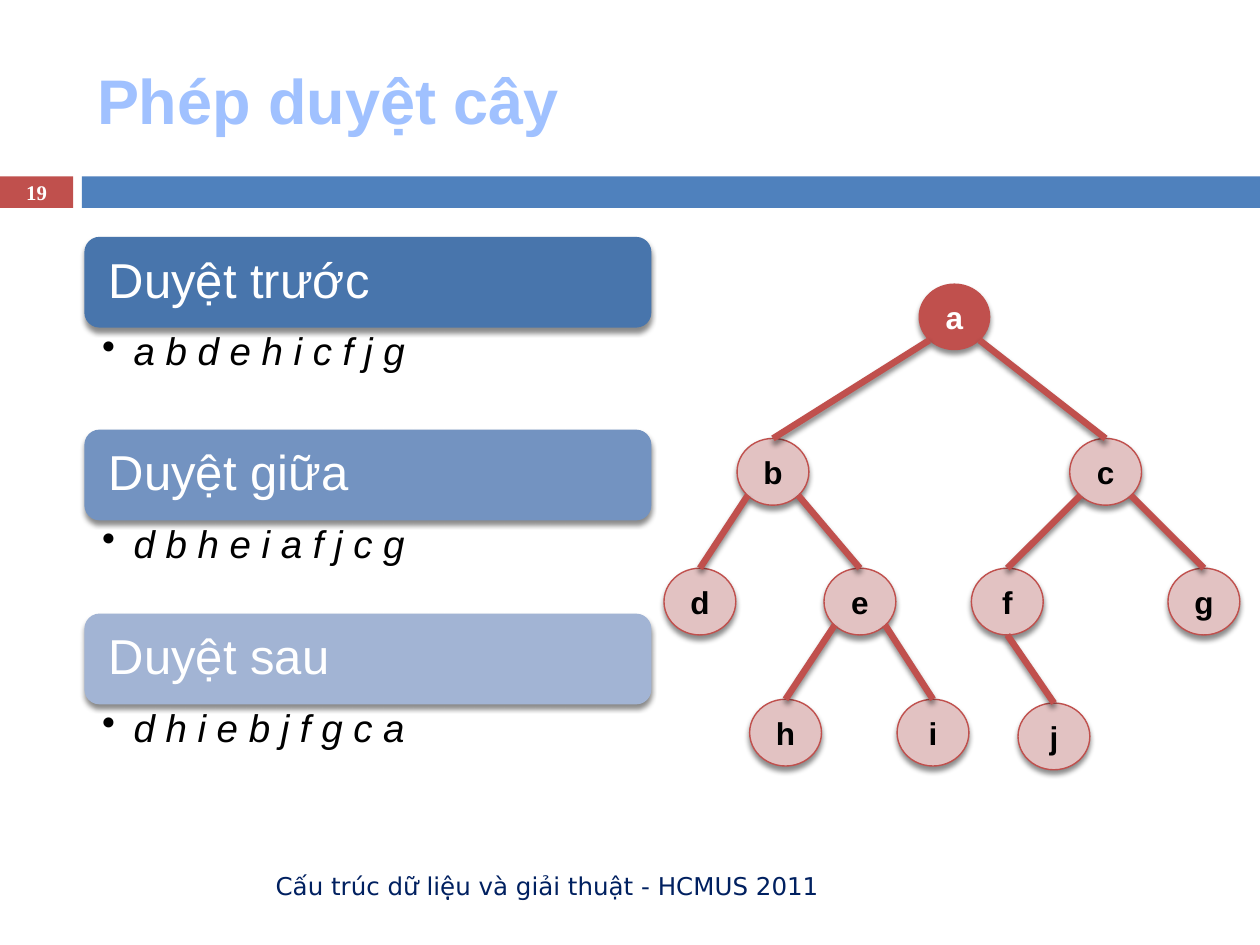
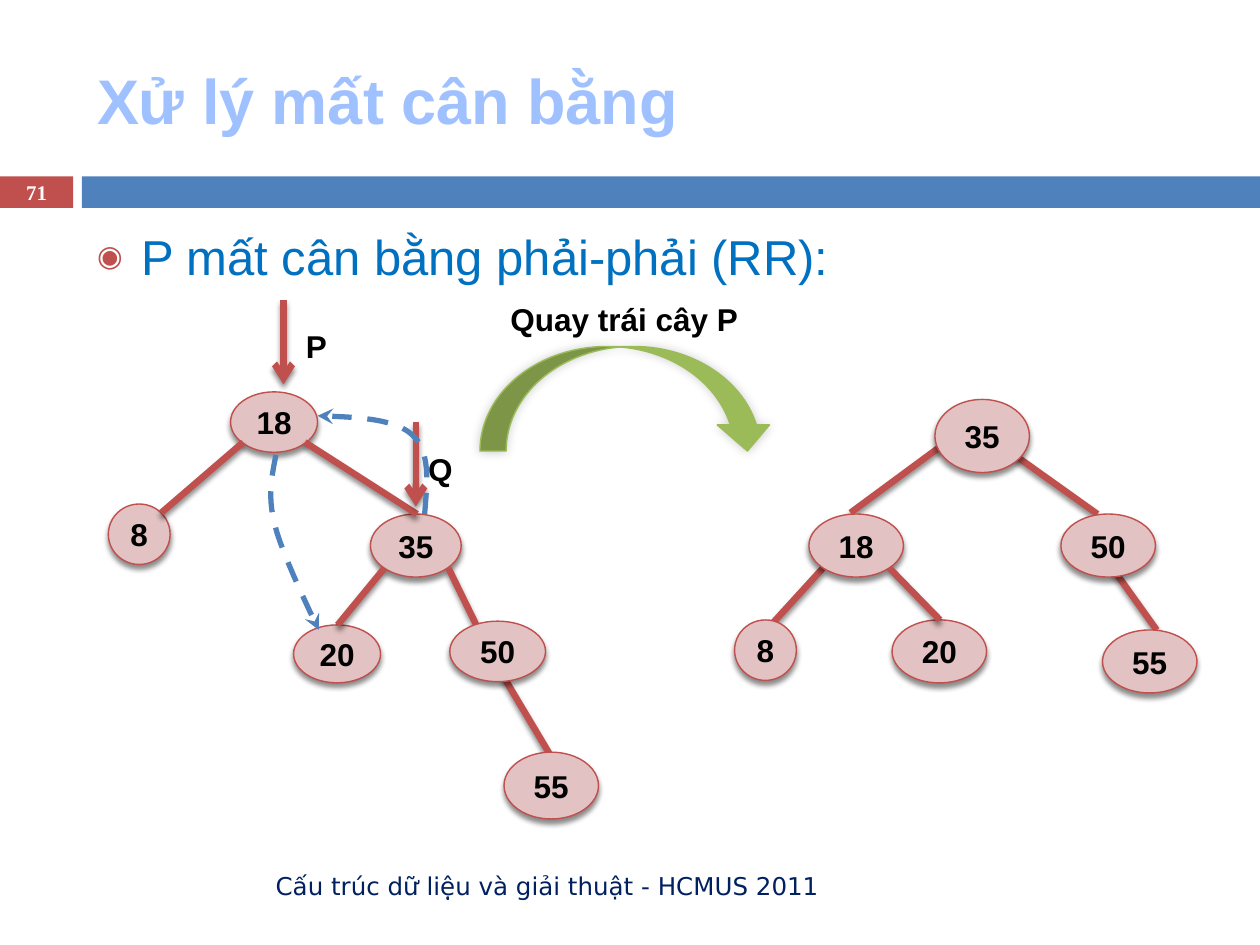
"""Build two slides on tree traversal and AVL rebalancing."""
import pptx
import pptx.dml.color
import pptx.enum.dml
import pptx.enum.shapes
import pptx.enum.text
import pptx.oxml
import pptx.util

Inches, Pt = pptx.util.Inches, pptx.util.Pt
SHAPE = pptx.enum.shapes.MSO_SHAPE
STRAIGHT = pptx.enum.shapes.MSO_CONNECTOR.STRAIGHT
MIDDLE = pptx.enum.text.MSO_ANCHOR.MIDDLE
LEFT, CENTER, RIGHT = (getattr(pptx.enum.text.PP_ALIGN, n) for n in ("LEFT", "CENTER", "RIGHT"))
rgb = pptx.dml.color.RGBColor.from_string

NS = 'xmlns:a="http://schemas.openxmlformats.org/drawingml/2006/main"'
RED, BLUE, PINK, GREEN = "C0504D", "4F81BD", "E2C2C2", "9BBB59"
SHADOW = (f'<a:effectLst {NS}><a:outerShdw blurRad="38100" dist="30480" dir="5400000" rotWithShape="0">'
          '<a:srgbClr val="000000"><a:alpha val="45000"/></a:srgbClr></a:outerShdw></a:effectLst>')
GLOW = (SHADOW.replace("38100", "76200").replace("30480", "0")
        .replace("5400000", "18900000").replace("45000", "20000"))


def add_xml(parent, *fragments):
    """Append drawing elements to a parent element."""
    for fragment in fragments:
        parent.append(pptx.oxml.parse_xml(fragment))


def write(tf, text, size, colour, font="Arial", bold=False, italic=False, align=LEFT):
    """Fill the first paragraph of a text frame and style it."""
    p = tf.paragraphs[0]
    p.text, p.alignment = text, align
    p.font.size, p.font.name = Pt(size), font
    p.font.bold, p.font.italic = bold, italic
    p.font.color.rgb = rgb(colour)


prs = pptx.Presentation()
prs.slide_width, prs.slide_height = Inches(10), Inches(7.5)
traversal = prs.slides.add_slide(prs.slide_layouts[5])
rotation = prs.slides.add_slide(prs.slide_layouts[1])

for x, w, colour in ((0, 0.58, RED), (0.65, 9.35, BLUE)):
    band = traversal.shapes.add_shape(SHAPE.RECTANGLE, Inches(x), Inches(1.4), Inches(w), Inches(0.25))
    band.shadow.inherit = False
    band.fill.solid()
    band.fill.fore_color.rgb = rgb(colour)
    band.line.fill.background()
    prs.slide_master.shapes._spTree.insert(2, band._element)

for s, title, number in ((traversal, "Phép duyệt cây", "19"), (rotation, "Xử lý mất cân bằng", "71")):
    sp = s.shapes.title
    sp.left, sp.top, sp.width, sp.height = Inches(0.67), Inches(0.25), Inches(8.92), Inches(1.08)
    sp.text_frame.vertical_anchor = MIDDLE
    sp.text_frame.auto_size = pptx.enum.text.MSO_AUTO_SIZE.NONE
    write(sp.text_frame, title, 36, "A0C1FF", bold=True)

    tf = s.shapes.add_textbox(Inches(0.67), Inches(6.83), Inches(5.93), Inches(0.4)).text_frame
    tf.word_wrap, tf.vertical_anchor = True, MIDDLE
    write(tf, "Cấu trúc dữ liệu và giải thuật - HCMUS 2011", 14, "002060", "DejaVu Sans", align=RIGHT)

    tf = s.shapes.add_textbox(0, Inches(1.39), Inches(0.58), Inches(0.27)).text_frame
    tf.word_wrap, tf.vertical_anchor = True, MIDDLE
    tf.margin_left = tf.margin_right = tf.margin_top = tf.margin_bottom = 0
    write(tf, number, 11.9, "FFFFFF", "Times New Roman", bold=True, align=CENTER)

orders = (
    ("Duyệt trước", "a b d e h i c f j g", 1.88, "4875AC"),
    ("Duyệt giữa", "d b h e i a f j c g", 3.41, "7393C1"),
    ("Duyệt sau", "d h i e b j f g c a", 4.87, "A2B4D4"),
)
for name, visit, y, colour in orders:
    sp = traversal.shapes.add_shape(SHAPE.ROUNDED_RECTANGLE, Inches(0.67), Inches(y), Inches(4.5), Inches(0.72))
    sp.fill.solid()
    sp.fill.fore_color.rgb = rgb(colour)
    sp.line.fill.background()
    add_xml(sp._element.spPr, SHADOW)
    tf = sp.text_frame
    tf.margin_left, tf.vertical_anchor = Inches(0.16), MIDDLE
    tf.paragraphs[0].line_spacing = 0.9
    write(tf, name, 28, "FFFFFF")

    tf = traversal.shapes.add_textbox(Inches(0.67), Inches(y + 0.72), Inches(4.5), Inches(0.8)).text_frame
    tf.word_wrap = True
    tf.margin_left, tf.margin_right = Inches(0.14), Inches(0.22)
    tf.margin_top = tf.margin_bottom = Inches(0.04)
    pPr = tf.paragraphs[0]._p.get_or_add_pPr()
    pPr.set("marL", str(Inches(0.25)))
    pPr.set("indent", str(-Inches(0.25)))
    add_xml(pPr, f'<a:buChar {NS} char="•"/>')
    tf.paragraphs[0].line_spacing = 0.9
    write(tf, visit, 22, "000000", italic=True)

sp = rotation.placeholders[1]
sp.left, sp.top, sp.width, sp.height = Inches(0.67), Inches(1.75), Inches(8.92), Inches(4.92)
tf = sp.text_frame
tf.auto_size = pptx.enum.text.MSO_AUTO_SIZE.NONE
pPr = tf.paragraphs[0]._p.get_or_add_pPr()
pPr.set("marL", str(Inches(0.35)))
pPr.set("indent", str(-Inches(0.35)))
add_xml(pPr, f'<a:buClr {NS}><a:srgbClr val="{RED}"/></a:buClr>',
        f'<a:buSzPct {NS} val="60000"/>', f'<a:buChar {NS} char="◉"/>')
tf.paragraphs[0].space_before = Pt(0)
write(tf, "P mất cân bằng phải-phải (RR):", 28, "0070C0")

NODE_W, NODE_H = 0.57, 0.53
corners = {
    "a": (7.29, 2.25), "b": (5.85, 3.48), "c": (8.49, 3.48), "d": (5.27, 4.51), "e": (6.54, 4.51),
    "f": (7.71, 4.51), "g": (9.27, 4.51), "h": (5.95, 5.55), "i": (7.12, 5.55), "j": (8.08, 5.58),
}
children = {"a": "bc", "b": "de", "c": "fg", "e": "hi", "f": "j"}
nodes = [(name, x, y, NODE_W, NODE_H) for name, (x, y) in corners.items()]
edges = []
for parent, kids in children.items():
    x, y = corners[parent]
    for i, kid in enumerate(kids):
        side = 0 if len(kids) == 1 else (-0.35, 0.35)[i]
        drop = 0.35 if side else 0.5
        edges.append((x + NODE_W * (0.5 + side), y + NODE_H * (0.5 + drop),
                      corners[kid][0] + NODE_W / 2, corners[kid][1]))

before_nodes = [("18", 1.83, 3.11, 0.69, 0.48), ("8", 0.86, 4, 0.49, 0.48),
                ("35", 2.94, 4.08, 0.72, 0.5), ("20", 2.33, 4.96, 0.69, 0.46)]
rotation_edges = [
    (2.42, 3.51, 3.31, 4.08), (1.93, 3.51, 1.28, 4.07), (3.05, 4.51, 2.68, 4.96),
    (3.56, 4.51, 3.79, 4.98), (3.99, 5.36, 4.36, 5.98), (7.91, 3.51, 8.71, 4.08),
    (7.51, 3.51, 6.75, 4.07), (6.53, 4.51, 6.12, 4.96), (8.83, 4.51, 9.18, 5),
]
after_nodes = [
    ("18", 6.42, 4.08, 0.75, 0.5), ("35", 7.42, 3.17, 0.75, 0.58), ("8", 5.83, 4.92, 0.49, 0.48),
    ("20", 7.08, 4.92, 0.75, 0.5), ("50", 8.42, 4.08, 0.75, 0.5), ("55", 8.75, 5, 0.75, 0.5),
    ("55", 4, 5.97, 0.75, 0.53), ("50", 3.57, 4.93, 0.76, 0.48),
]
pointers = [(2.25, 2.38, 2.25, 3.05), (3.3, 3.35, 3.3, 4.02)]

layers = (
    (traversal, nodes, edges, False),
    (rotation, before_nodes, rotation_edges, False),
    (rotation, after_nodes, [(7.06, 4.51, 7.46, 4.92)], False),
    (rotation, [], pointers, True),
)
for s, layer_nodes, layer_edges, arrow in layers:
    for name, x, y, w, h in layer_nodes:
        root = name == "a"
        sp = s.shapes.add_shape(SHAPE.OVAL, Inches(x), Inches(y), Inches(w), Inches(h))
        sp.fill.solid()
        sp.fill.fore_color.rgb = rgb(RED if root else PINK)
        sp.line.color.rgb = rgb(RED)
        sp.line.width = Pt(0.79)
        if root:
            sp.line.fill.background()
        add_xml(sp._element.spPr, SHADOW)
        tf = sp.text_frame
        tf.margin_left = tf.margin_right = 0
        tf.vertical_anchor = MIDDLE
        write(tf, name, 18, "FFFFFF" if root else "000000", bold=True, align=CENTER)
    for edge in layer_edges:
        sp = s.shapes.add_connector(STRAIGHT, *map(Inches, edge))
        sp.line.color.rgb = rgb(RED)
        sp.line.width = Pt(3.75)
        if arrow:
            add_xml(sp._element.spPr.ln, f'<a:tailEnd {NS} type="arrow"/>')
        add_xml(sp._element.spPr, SHADOW)

sp = rotation.shapes.add_shape(SHAPE.CURVED_DOWN_ARROW, Inches(3.81), Inches(2.75), Inches(2.33), Inches(0.83))
sp.fill.solid()
sp.fill.fore_color.rgb = rgb(GREEN)
sp.line.color.rgb = rgb(GREEN)
sp.line.width = Pt(0.79)
add_xml(sp._element.spPr, GLOW)

labels = (("P", 2.33, 2.55, 0.58, LEFT), ("Q", 3.3, 3.52, 0.58, LEFT),
          ("Quay trái cây P", 3.83, 2.33, 2.25, CENTER))
for text, x, y, w, align in labels:
    tf = rotation.shapes.add_textbox(Inches(x), Inches(y), Inches(w), Inches(0.4)).text_frame
    tf.word_wrap = True
    write(tf, text, 18, "000000", bold=True, align=align)

STEPS = 12
curves = (
    ((2.19, 3.61), (2.16, 3.77), (2.12, 3.93), (2.18, 4.16), (2.23, 4.39), (2.53, 5), (2.53, 5)),
    ((3.37, 4.08), (3.39, 3.83), (3.42, 3.58), (3.27, 3.45), (3.13, 3.32), (2.82, 3.31), (2.52, 3.3)),
)
for curve in curves:
    points = []
    for start in (0, 3):
        for step in range(1, STEPS + 1):
            t = step / STEPS
            weights = ((1 - t) ** 3, 3 * t * (1 - t) ** 2, 3 * t * t * (1 - t), t ** 3)
            points.append([Inches(sum(k * c[axis] for k, c in zip(weights, curve[start:start + 4])))
                           for axis in (0, 1)])
    builder = rotation.shapes.build_freeform(*map(Inches, curve[0]))
    builder.add_line_segments(points, close=False)
    sp = builder.convert_to_shape()
    sp.shadow.inherit = False
    sp.fill.background()
    sp.line.color.rgb = rgb(BLUE)
    sp.line.width = Pt(3)
    sp.line.dash_style = pptx.enum.dml.MSO_LINE.DASH
    add_xml(sp._element.spPr.ln, f'<a:tailEnd {NS} type="stealth"/>')

prs.save("out.pptx")
